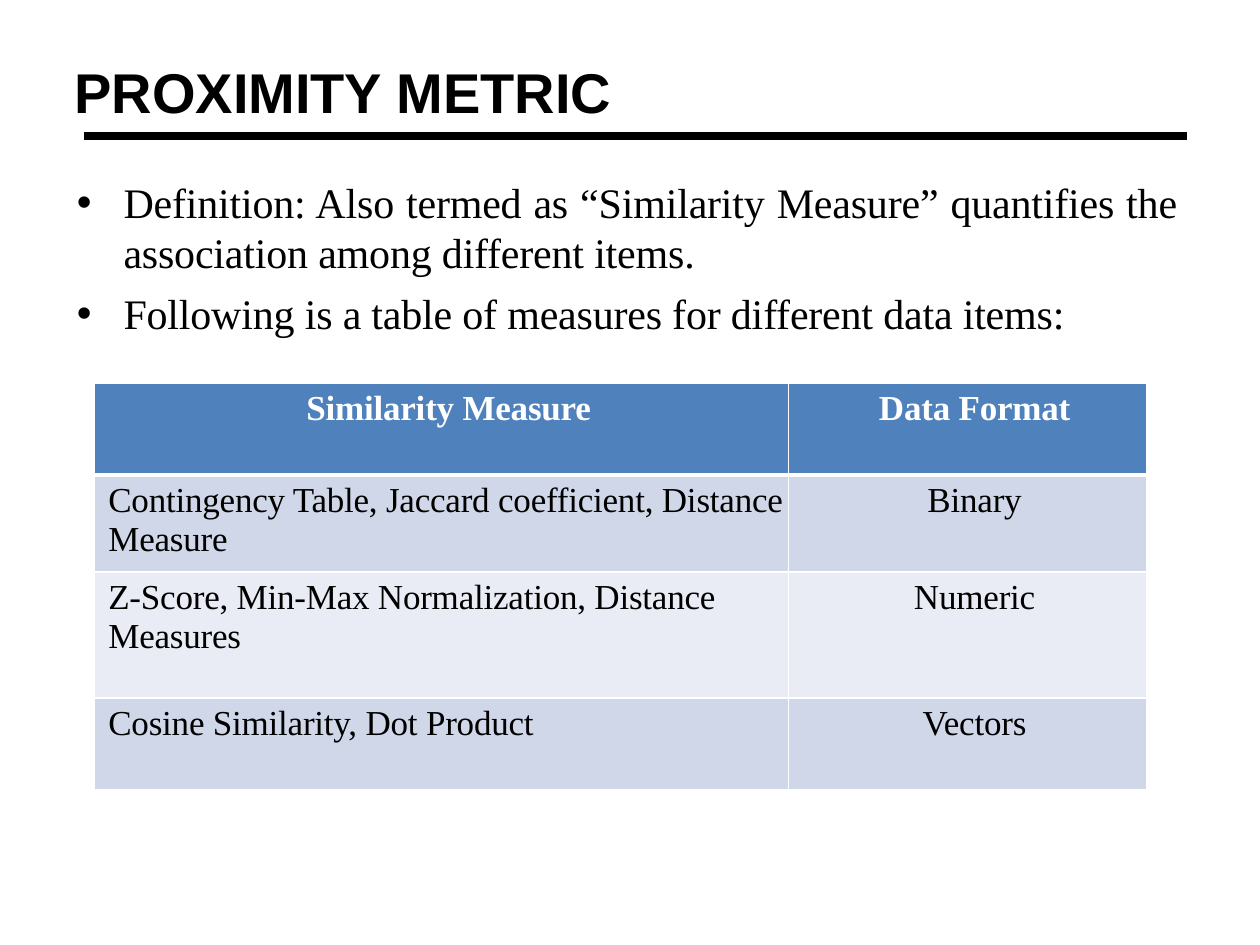
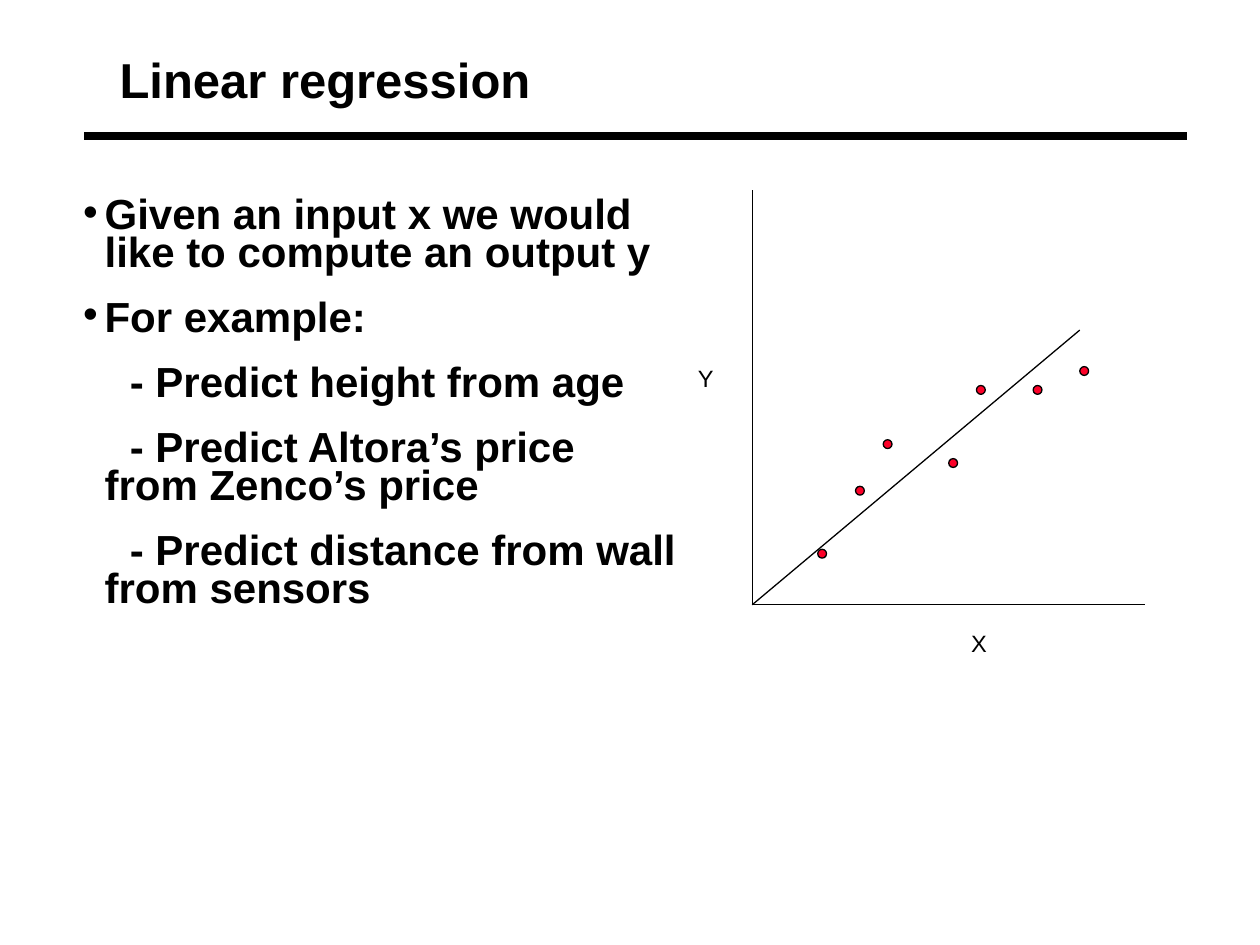
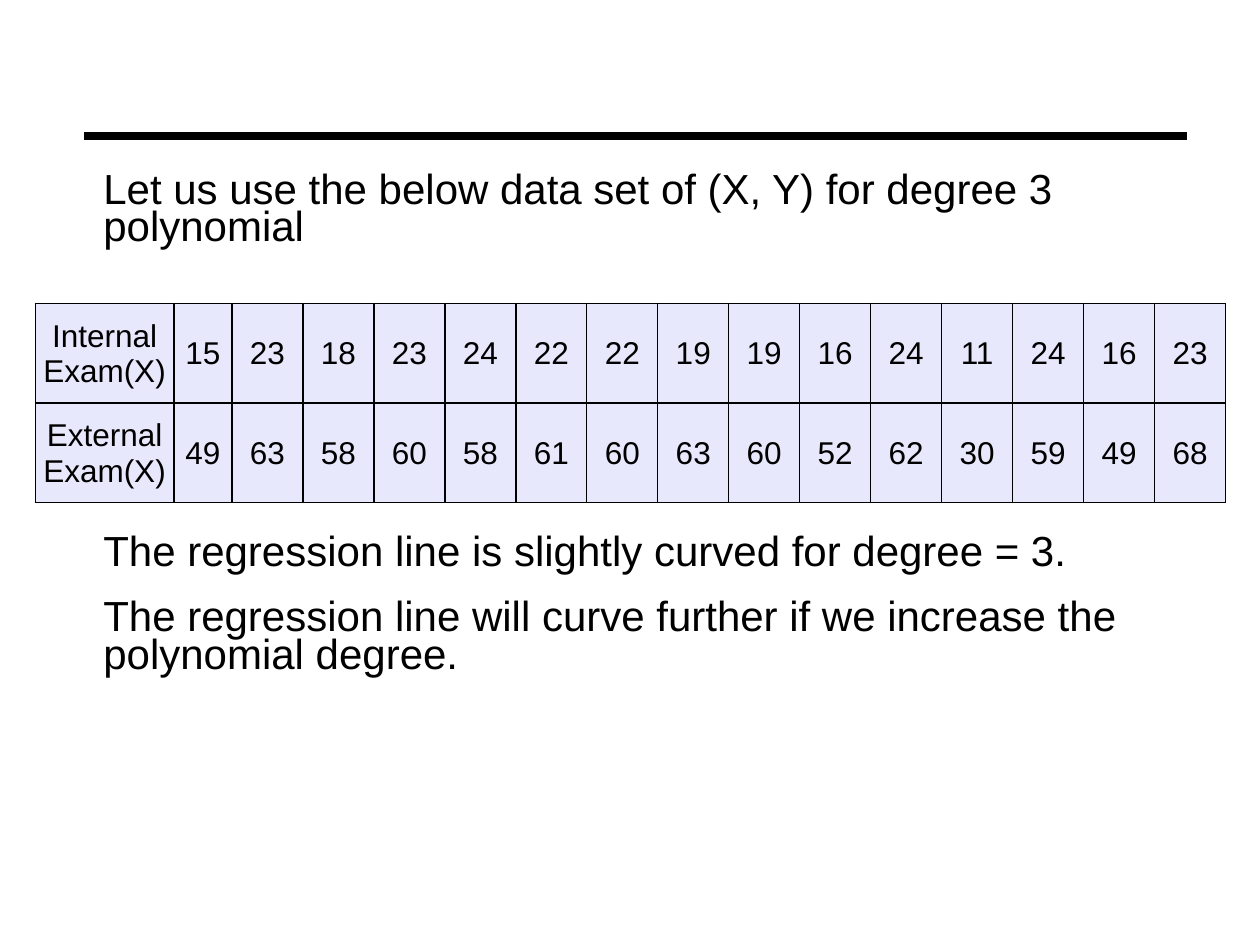
from dataclasses import dataclass

from lxml.etree import SubElement
from pptx import Presentation
from pptx.dml.color import RGBColor
from pptx.enum.shapes import MSO_CONNECTOR, MSO_SHAPE
from pptx.enum.text import MSO_ANCHOR, PP_ALIGN as Align
from pptx.oxml.ns import qn
from pptx.util import Inches, Pt


@dataclass(frozen=True)
class Theme:
    ink: str = "000000"
    paper: str = "FFFFFF"
    header: str = "4F81BC"
    band_dark: str = "D0D7E8"
    band_light: str = "E9ECF4"
    exam: str = "E7E8FB"
    dot: str = "FC0128"
    sans: str = "Arial"
    serif: str = "Times New Roman"
    title: float = 32
    subtitle: float = 28
    body: float = 24
    measure: float = 20
    score: float = 18
    axis: float = 13.5
    rule: float = 4.5
    hairline: float = 0.75


T = Theme()

# Content
PROXIMITY_POINTS = [
    "Definition: Also termed as “Similarity Measure” quantifies the association among different items.",
    "Following is a table of measures for different data items:",
]
MEASURES = [
    ("Similarity Measure", "Data Format"),
    ("Contingency Table, Jaccard coefficient, Distance Measure", "Binary"),
    ("Z-Score, Min-Max Normalization, Distance Measures", "Numeric"),
    ("Cosine Similarity, Dot Product", "Vectors"),
]
REGRESSION_POINTS = [
    "Given an input x we would like to compute an output y",
    "For example:",
]
REGRESSION_EXAMPLES = [
    "- Predict height from age",
    "- Predict Altora’s price from Zenco’s price",
    "- Predict distance from wall from sensors",
]
SAMPLES = [(6.49, 4.36), (6.79, 3.86), (7.01, 3.49), (7.53, 3.64),
           (7.75, 3.06), (8.2, 3.06), (8.57, 2.91)]
AXIS_LABELS = [("X", 7.61, 4.94), ("Y", 5.44, 2.84)]
DATA_INTRO = "Let us use the below data set of (X, Y) for degree 3 polynomial"
DATA_REMARKS = [
    "The regression line is slightly curved for degree = 3.",
    "The regression line will curve further if we increase the polynomial degree.",
]
EXAM_SCORES = [
    ("Internal Exam(X)", 15, 23, 18, 23, 24, 22, 22, 19, 19, 16, 24, 11, 24, 16, 23),
    ("External Exam(X)", 49, 63, 58, 60, 58, 61, 60, 63, 60, 52, 62, 30, 59, 49, 68),
]

# Formats shared by several texts
TITLE = dict(bold=True, line=0.87)
BODY = dict(size=T.body, line=0.75, before=15.6)
INSETS = (0.07, 0.03, 0.07, 0.03)


def rgb(code):
    return RGBColor.from_string(code)


def write(frame, text, *, size, font=T.sans, color=T.ink, bold=False, align=Align.LEFT,
          line=None, before=0, margin=0, indent=0, bullet=None, tracking=0):
    """Add one paragraph to the frame, using its first one if that is still empty."""
    first = frame.paragraphs[0]
    para = frame.add_paragraph() if first.runs else first
    para.alignment = align
    para.space_before = Pt(before)
    if line:
        para.line_spacing = line
    props = para._p.get_or_add_pPr()
    props.set("marL", str(Inches(margin)))
    props.set("indent", str(Inches(indent)))
    if bullet:
        SubElement(props, qn("a:buFont"), typeface=T.sans)
        SubElement(props, qn("a:buChar"), char=bullet)
    else:
        SubElement(props, qn("a:buNone"))
    run = para.add_run()
    run.text = text
    run.font.name, run.font.size, run.font.bold = font, Pt(size), bold
    run.font.color.rgb = rgb(color)
    if tracking:
        run._r.get_or_add_rPr().set("spc", str(round(tracking * 100)))


def set_insets(holder, insets):
    (holder.margin_left, holder.margin_top,
     holder.margin_right, holder.margin_bottom) = map(Inches, insets)


def add_frame(slide, box, insets=INSETS):
    frame = slide.shapes.add_textbox(*map(Inches, box)).text_frame
    frame.word_wrap = True
    set_insets(frame, insets)
    return frame


def add_line(slide, start, end, width=T.hairline):
    line = slide.shapes.add_connector(MSO_CONNECTOR.STRAIGHT, *map(Inches, start + end))
    line.line.color.rgb = rgb(T.ink)
    line.line.width = Pt(width)
    SubElement(line._element.spPr, qn("a:effectLst"))


def add_dot(slide, left, top, size=0.07):
    dot = slide.shapes.add_shape(MSO_SHAPE.OVAL, *map(Inches, (left, top, size, size)))
    dot.shadow.inherit = False
    dot.fill.solid()
    dot.fill.fore_color.rgb = rgb(T.dot)
    dot.line.color.rgb = rgb(T.ink)
    dot.line.width = Pt(T.hairline)


def add_grid(slide, left, top, widths, heights):
    """Add an unstyled table with the given column widths and row heights."""
    box = (left, top, sum(widths), sum(heights))
    grid = slide.shapes.add_table(len(heights), len(widths), *map(Inches, box)).table
    grid.first_row = grid.horz_banding = False
    for column, width in zip(grid.columns, widths):
        column.width = Inches(width)
    for row, height in zip(grid.rows, heights):
        row.height = Inches(height)
    return grid


def style_cell(cell, fill, border, insets, top=1, bottom=1):
    set_insets(cell, insets)
    props = cell._tc.get_or_add_tcPr()
    for side, width in (("L", 1), ("R", 1), ("T", top), ("B", bottom)):
        edge = SubElement(props, qn("a:ln" + side), w=str(Pt(width)))
        SubElement(SubElement(edge, qn("a:solidFill")), qn("a:srgbClr"), val=border)
    cell.fill.solid()
    cell.fill.fore_color.rgb = rgb(fill)


def new_slide(deck):
    """Add a blank slide with the rule that every slide carries."""
    slide = deck.slides.add_slide(deck.slide_layouts[6])
    add_line(slide, (0.67, 1.08), (9.42, 1.08), T.rule)
    return slide


def build_proximity(deck):
    slide = new_slide(deck)
    flush = (0, 0.01, 0, 0)
    write(add_frame(slide, (0.59, 0.52, 5.07, 0.48), flush), "PROXIMITY METRIC",
          size=T.title, before=1.1, **TITLE)
    points = add_frame(slide, (0.59, 1.39, 8.75, 1.31), flush)
    for point, before in zip(PROXIMITY_POINTS, (1, 5.8)):
        write(points, point, size=T.body, font=T.serif, align=Align.JUSTIFY, before=before,
              margin=0.39, indent=-0.37, bullet="•", tracking=-0.1)

    grid = add_grid(slide, 0.75, 3.04, (5.51, 2.84), (0.73, 0.77, 1, 0.73))
    for r, row in enumerate(MEASURES):
        head = r == 0
        fill = T.header if head else (T.band_light, T.band_dark)[r % 2]
        for c, text in enumerate(row):
            cell = grid.cell(r, c)
            style_cell(cell, fill, T.paper, (0, 0.05, 0, 0),
                       top=3 if r == 1 else 1, bottom=3 if head else 1)
            write(cell.text_frame, text, size=T.measure, font=T.serif, bold=head,
                  color=T.paper if head else T.ink, before=3.3, margin=0.11,
                  align=Align.CENTER if head or c else Align.LEFT, tracking=-0.15)


def build_regression(deck):
    slide = new_slide(deck)
    write(add_frame(slide, (0.88, 0.43, 3.44, 0.47)), "Linear regression",
          size=T.subtitle, **TITLE)
    points = add_frame(slide, (0.59, 1.55, 4.85, 3.53))
    for point in REGRESSION_POINTS:
        write(points, point, bold=True, margin=0.17, indent=-0.17, bullet="•", **BODY)
    for example in REGRESSION_EXAMPLES:
        write(points, example, bold=True, margin=0.17, indent=0.2, **BODY)

    origin = (5.97, 4.8)
    for end in ((9.09, 4.8), (5.97, 1.51), (8.57, 2.62)):
        add_line(slide, origin, end)
    for left, top in SAMPLES:
        add_dot(slide, left, top)
    for label, left, top in AXIS_LABELS:
        write(add_frame(slide, (left, top, 0.45, 0.38), (0.1, 0.05, 0.1, 0.05)), label,
              size=T.axis, before=T.axis / 2)


def build_polynomial(deck):
    slide = new_slide(deck)
    remarks = add_frame(slide, (0.75, 1.35, 8.58, 4.36))
    write(remarks, DATA_INTRO, **BODY)
    table_gap = 164
    for remark, before in zip(DATA_REMARKS, (table_gap, BODY["before"])):
        write(remarks, remark, **{**BODY, "before": before})

    width, label_width, first_width = 9.45, 1.1, 0.46
    others = len(EXAM_SCORES[0]) - 2
    score_width = (width - label_width - first_width) / others
    grid = add_grid(slide, 0.28, 2.41, [label_width, first_width] + [score_width] * others,
                    [0.79] * len(EXAM_SCORES))
    for r, row in enumerate(EXAM_SCORES):
        for c, value in enumerate(row):
            cell = grid.cell(r, c)
            style_cell(cell, T.exam, T.ink, (0.01, 0.01, 0.01, 0))
            cell.vertical_anchor = MSO_ANCHOR.MIDDLE
            write(cell.text_frame, str(value), size=T.score, align=Align.CENTER)


def main():
    deck = Presentation()
    deck.slide_width, deck.slide_height = Inches(10), Inches(7.5)
    for build in (build_proximity, build_regression, build_polynomial):
        build(deck)
    deck.save("out.pptx")


if __name__ == "__main__":
    main()
